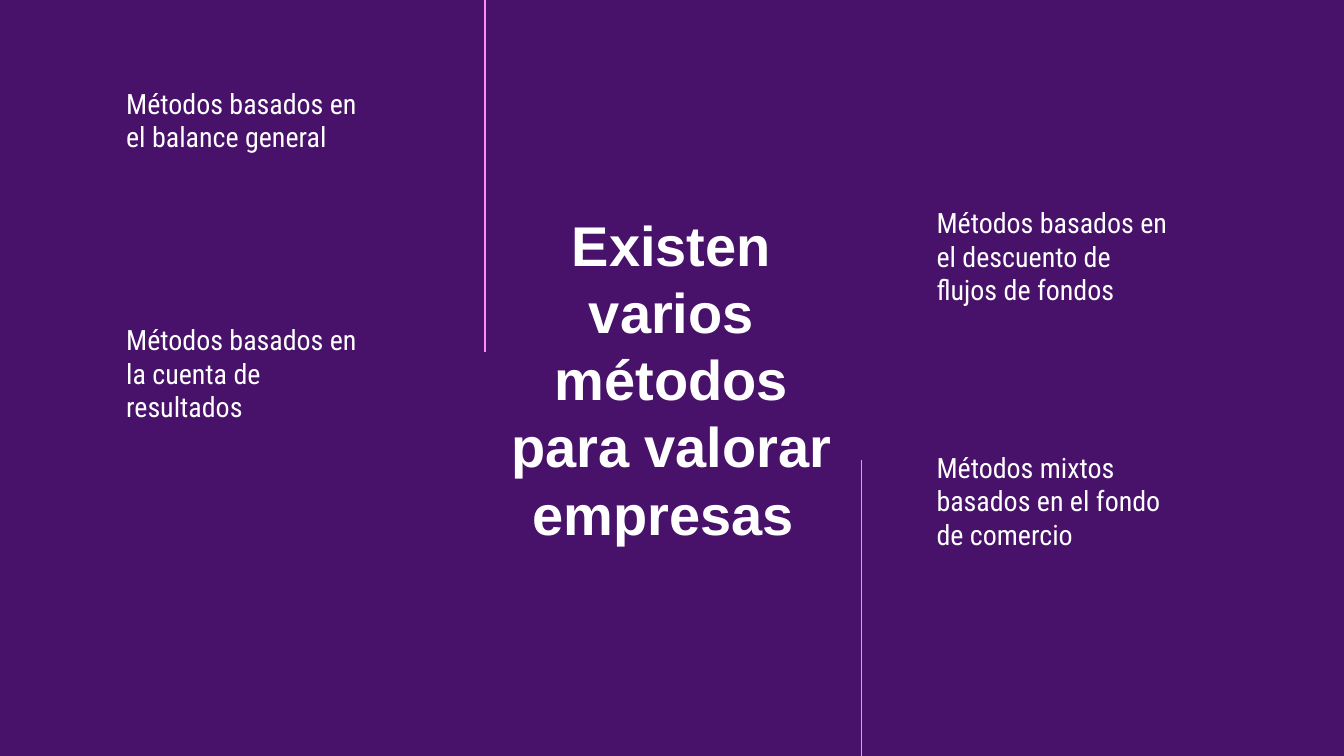
import pptx
import pptx.util
import pptx.dml.color
import pptx.enum.shapes
import pptx.enum.text
import pptx.oxml.ns
import lxml.etree

Inches, Pt = pptx.util.Inches, pptx.util.Pt
ALIGN, ANCHOR = pptx.enum.text.PP_ALIGN, pptx.enum.text.MSO_ANCHOR

PURPLE = pptx.dml.color.RGBColor(0x48, 0x12, 0x6A)
PINK = pptx.dml.color.RGBColor(0xFF, 0x8C, 0xFF)
WHITE = pptx.dml.color.RGBColor(0xFF, 0xFF, 0xFF)

WIDTH = 10
HEIGHT = WIDTH * 9 / 16
LEFT_COL, RIGHT_COL, COL_WIDTH = 0.84, 6.87, 1.92


def add_text(slide, box, text, font="Roboto Condensed", size=15, bold=False,
             align=ALIGN.LEFT, anchor=ANCHOR.TOP):
    sp = slide.shapes.add_textbox(*(Inches(v) for v in box))
    tf = sp.text_frame
    tf.word_wrap = True
    tf.vertical_anchor = anchor
    tf.margin_left = tf.margin_right = Inches(0.1)
    tf.margin_top = tf.margin_bottom = Inches(0.1)
    p = tf.paragraphs[0]
    p.alignment = align
    r = p.add_run()
    r.text = text
    r.font.name, r.font.size, r.font.bold = font, Pt(size), bold
    r.font.color.rgb = WHITE


def add_rule(slide, x, top, bottom):
    line = slide.shapes.add_connector(
        pptx.enum.shapes.MSO_CONNECTOR.STRAIGHT,
        Inches(x), Inches(top), Inches(x), Inches(bottom))
    line.line.color.rgb = PINK
    line.line.width = Pt(0.75)
    lxml.etree.SubElement(line._element.spPr, pptx.oxml.ns.qn("a:effectLst"))


def add_title(slide, box):
    """Central statement, with a rule on each side running to a slide edge."""
    left, top, width, height = box
    add_text(slide, box, "Existen varios métodos para valorar empresas ",
             font="Arial", size=30, bold=True, align=ALIGN.CENTER,
             anchor=ANCHOR.MIDDLE)
    add_rule(slide, left - 0.09, 0, top + 0.32)
    add_rule(slide, left + width + 0.12, top + height + 0.09, HEIGHT)


def add_methods(slide, left, width, methods):
    """Column of methods, each given as its top, height and text."""
    for top, height, text in methods:
        add_text(slide, (left, top, width, height), text)


def main():
    prs = pptx.Presentation()
    prs.slide_width, prs.slide_height = Inches(WIDTH), Inches(HEIGHT)
    slide = prs.slides.add_slide(prs.slide_layouts[6])
    slide.background.fill.solid()
    slide.background.fill.fore_color.rgb = PURPLE

    # Central title
    add_title(slide, (3.7, 2.3, 2.59, 1.03))

    # Methods on either side
    add_methods(slide, LEFT_COL, COL_WIDTH, [
        (0.54, 0.71, "Métodos basados en el balance general"),
        (2.3, 0.96, "Métodos basados en la cuenta de resultados"),
    ])
    add_methods(slide, RIGHT_COL, COL_WIDTH, [
        (1.43, 0.96, "Métodos basados en el descuento de flujos de fondos"),
        (3.25, 0.96, "Métodos mixtos basados en el fondo de comercio"),
    ])
    prs.save("out.pptx")


if __name__ == "__main__":
    main()
